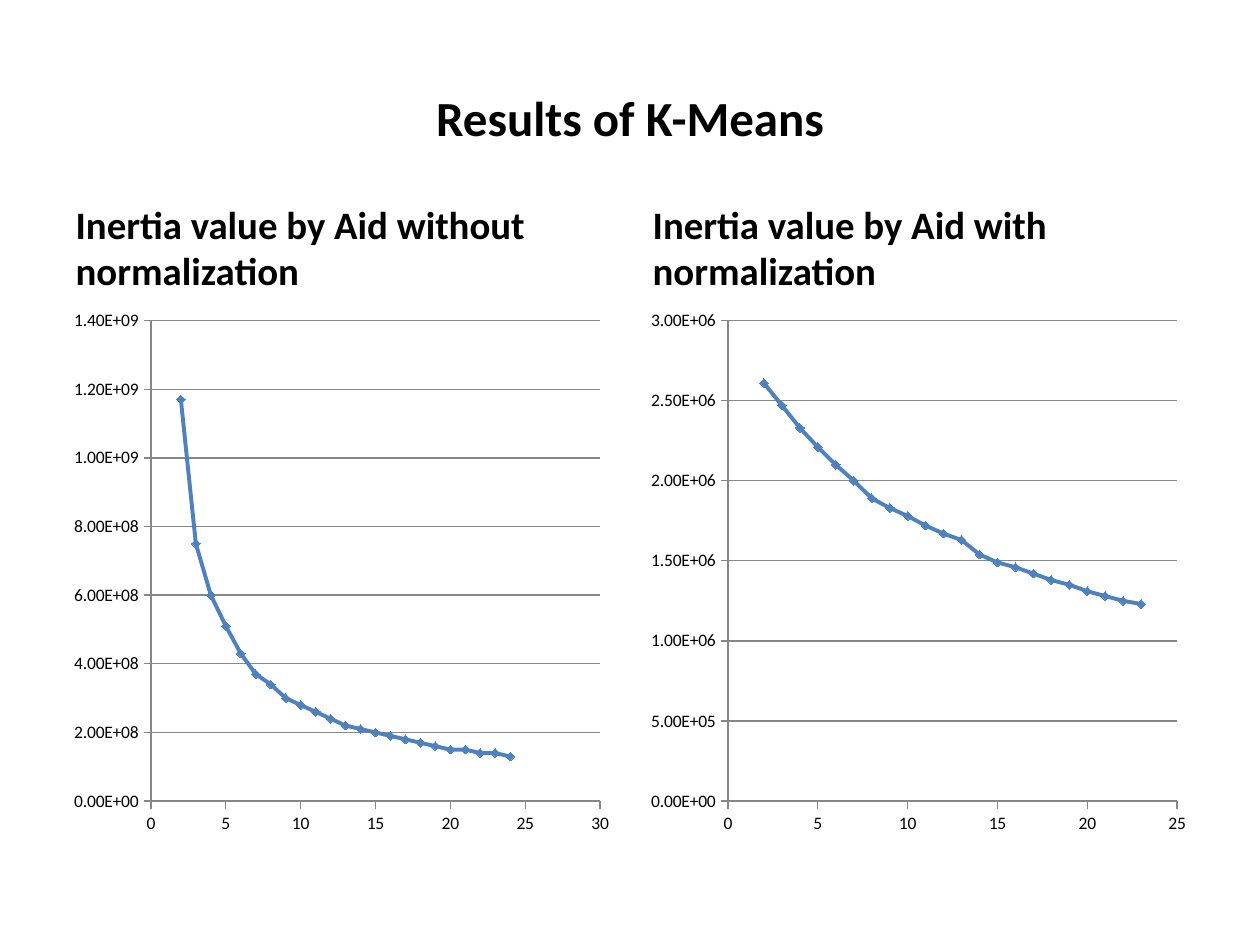
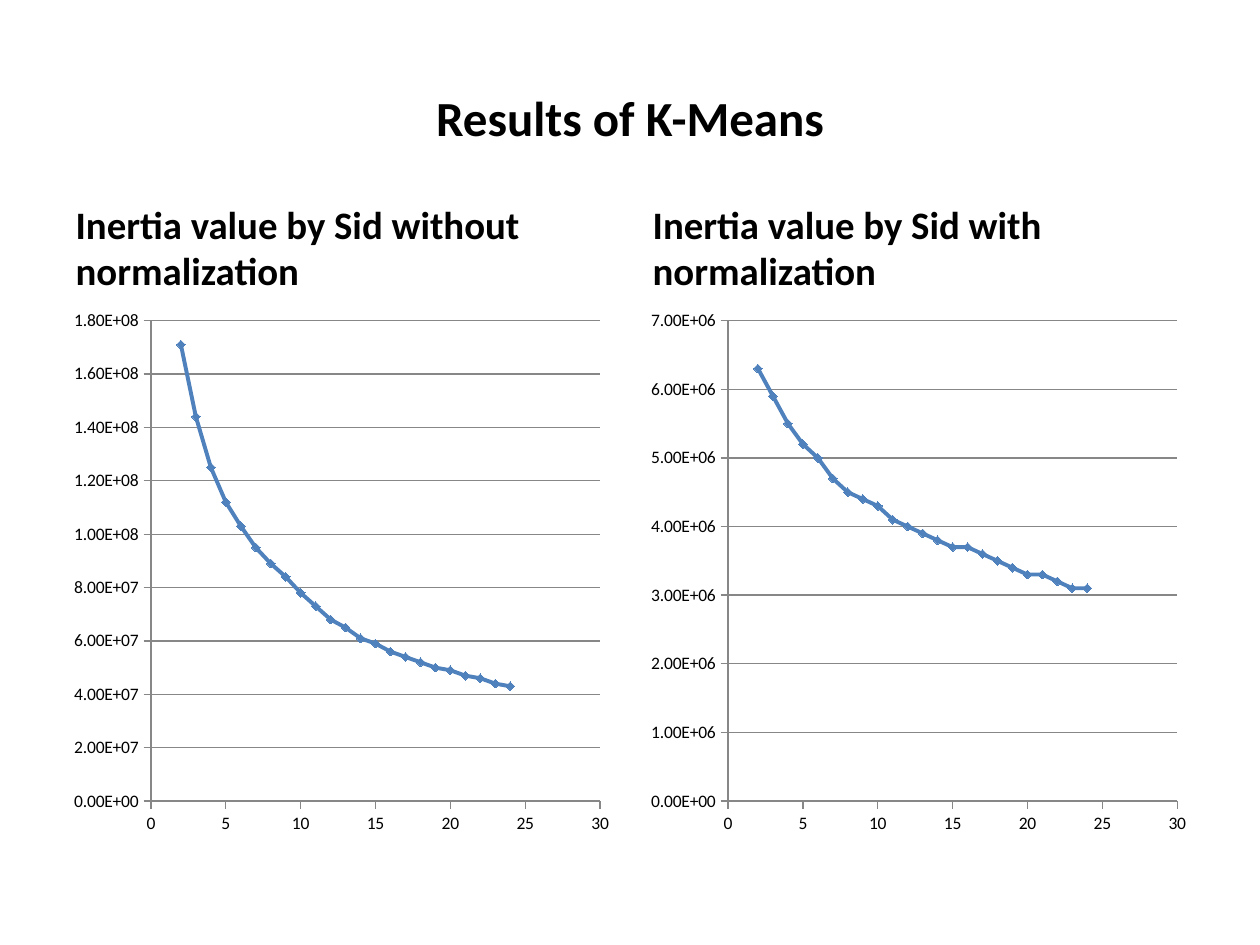
from dataclasses import dataclass

from pptx import Presentation
from pptx import util as u
from pptx.chart import data as chart_data
from pptx.dml import color
from pptx.enum import chart as chart_enum
from pptx.enum import text

COMPARISON_LAYOUT = 3 + 1
COLUMN_LEFTS = (0.5, 5.08)
COLUMN_WIDTH = 4.42
FIRST_CLUSTER_COUNT = 2


@dataclass(frozen=True)
class Theme:
    font: str = "Calibri"
    ink: str = "000000"
    series: str = "4F81BD"
    axis: str = "878787"
    background: str = "FFFFFF"
    title_size: float = 28
    heading_size: float = 22.2
    chart_size: float = 10
    series_width: float = 2.25
    axis_width: float = 0.75
    marker_size: int = 5


@dataclass(frozen=True)
class InertiaChart:
    """Inertia for 2, 3, 4... clusters, in units of scale, with axis limits."""
    heading: str
    scale: int
    values: tuple
    value_max: float
    value_step: float
    cluster_max: int


RESULTS = (
    (
        InertiaChart(
            "Inertia value by Aid without normalization", 10_000_000,
            (117, 75, 60, 51, 43, 37, 34, 30, 28, 26, 24, 22,
             21, 20, 19, 18, 17, 16, 15, 15, 14, 14, 13), 140, 20, 30),
        InertiaChart(
            "Inertia value by Aid with normalization", 10_000,
            (261, 247, 233, 221, 210, 200, 189, 183, 178, 172, 167,
             163, 154, 149, 146, 142, 138, 135, 131, 128, 125, 123), 300, 50, 25),
    ),
    (
        InertiaChart(
            "Inertia value by Sid without normalization", 1_000_000,
            (171, 144, 125, 112, 103, 95, 89, 84, 78, 73, 68, 65,
             61, 59, 56, 54, 52, 50, 49, 47, 46, 44, 43), 180, 20, 30),
        InertiaChart(
            "Inertia value by Sid with normalization", 100_000,
            (63, 59, 55, 52, 50, 47, 45, 44, 43, 41, 40, 39,
             38, 37, 37, 36, 35, 34, 33, 33, 32, 31, 31), 70, 10, 30),
    ),
)


class Deck:
    def __init__(self, theme):
        self.theme = theme
        self.presentation = Presentation()
        self.presentation.slide_width = u.Inches(10)
        self.presentation.slide_height = u.Inches(7.5)
        self.slide = None

    def rgb(self, value):
        return color.RGBColor.from_string(value)

    def add_slide(self):
        layout = self.presentation.slide_layouts[COMPARISON_LAYOUT]
        self.slide = self.presentation.slides.add_slide(layout)
        fill = self.slide.background.fill
        fill.solid()
        fill.fore_color.rgb = self.rgb(self.theme.background)

    def style_font(self, font, size, bold=False):
        font.name = self.theme.font
        font.size = u.Pt(size)
        font.bold = bold
        font.color.rgb = self.rgb(self.theme.ink)

    def style_line(self, line, value, width):
        line.color.rgb = self.rgb(value)
        line.width = u.Pt(width)

    def fill_placeholder(self, shape, box, words, size, anchor, alignment):
        shape.left, shape.top, shape.width, shape.height = map(u.Inches, box)
        frame = shape.text_frame
        frame.word_wrap = True
        frame.auto_size = text.MSO_AUTO_SIZE.NONE
        frame.vertical_anchor = anchor
        paragraph = frame.paragraphs[0]
        paragraph.alignment = alignment
        run = paragraph.add_run()
        run.text = words
        self.style_font(run.font, size, bold=True)

    def add_title(self, words):
        self.fill_placeholder(
            self.slide.shapes.title, (0.5, 0.3, 9, 1.25), words,
            self.theme.title_size, text.MSO_ANCHOR.MIDDLE, text.PP_ALIGN.CENTER)

    def add_heading(self, shape, left, words):
        self.fill_placeholder(
            shape, (left, 1.68, COLUMN_WIDTH, 0.7), words,
            self.theme.heading_size, text.MSO_ANCHOR.BOTTOM, text.PP_ALIGN.LEFT)

    def style_axis(self, axis, maximum, step, number_format, gridlines):
        axis.minimum_scale = 0
        axis.maximum_scale = maximum
        axis.major_unit = step
        axis.major_tick_mark = chart_enum.XL_TICK_MARK.OUTSIDE
        axis.minor_tick_mark = chart_enum.XL_TICK_MARK.NONE
        axis.tick_labels.number_format = number_format
        axis.tick_labels.number_format_is_linked = False
        self.style_line(axis.format.line, self.theme.axis, self.theme.axis_width)
        axis.has_major_gridlines = gridlines
        if gridlines:
            self.style_line(axis.major_gridlines.format.line,
                            self.theme.axis, self.theme.axis_width)

    def style_series(self, series):
        series.smooth = False
        self.style_line(series.format.line, self.theme.series,
                        self.theme.series_width)
        marker = series.marker
        marker.style = chart_enum.XL_MARKER_STYLE.DIAMOND
        marker.size = self.theme.marker_size
        marker.format.fill.solid()
        marker.format.fill.fore_color.rgb = self.rgb(self.theme.series)
        self.style_line(marker.format.line, self.theme.series,
                        self.theme.axis_width)

    def add_inertia_chart(self, left, inertia):
        points = chart_data.XyChartData()
        series = points.add_series("Series 1")
        for clusters, value in enumerate(inertia.values, FIRST_CLUSTER_COUNT):
            series.add_data_point(clusters, value * inertia.scale)
        box = map(u.Inches, (left, 2.38, COLUMN_WIDTH, 4.32))
        chart = self.slide.shapes.add_chart(
            chart_enum.XL_CHART_TYPE.XY_SCATTER_LINES, *box, points).chart
        chart.has_legend = False
        chart.has_title = False
        self.style_font(chart.font, self.theme.chart_size)
        self.style_axis(chart.category_axis, inertia.cluster_max, 5,
                        "General", gridlines=False)
        self.style_axis(chart.value_axis, inertia.value_max * inertia.scale,
                        inertia.value_step * inertia.scale,
                        "0.00E+00", gridlines=True)
        plot = chart.plots[0]
        plot.vary_by_categories = False
        self.style_series(plot.series[0])

    def add_comparison(self, title, charts):
        self.add_slide()
        self.add_title(title)
        _, left_heading, left_body, right_heading, right_body = list(
            self.slide.placeholders)
        for body in (left_body, right_body):
            body.element.getparent().remove(body.element)
        headings = (left_heading, right_heading)
        for left, heading, inertia in zip(COLUMN_LEFTS, headings, charts):
            self.add_heading(heading, left, inertia.heading)
            self.add_inertia_chart(left, inertia)


def main():
    deck = Deck(Theme())
    for charts in RESULTS:
        deck.add_comparison("Results of K-Means", charts)
    deck.presentation.save("out.pptx")


if __name__ == "__main__":
    main()
